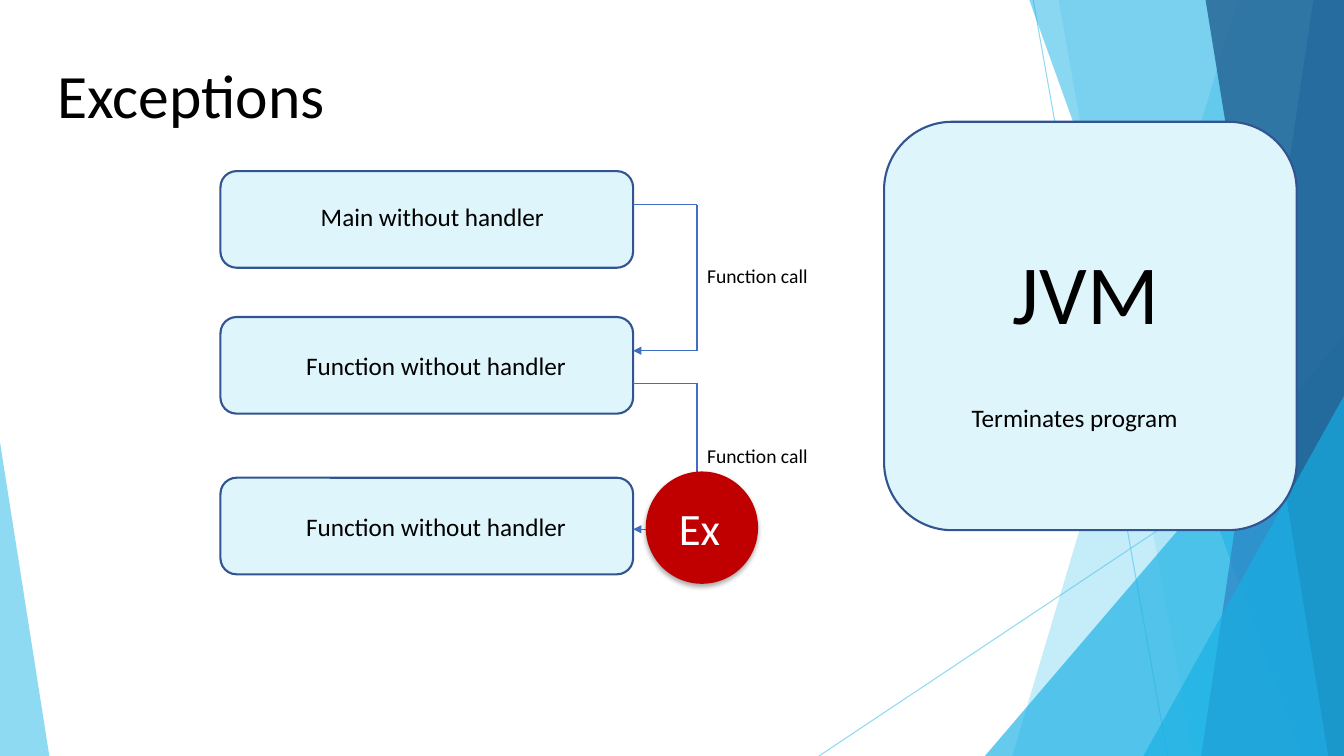
from lxml import etree
from pptx import Presentation
from pptx.dml.color import RGBColor
from pptx.enum.shapes import MSO_CONNECTOR, MSO_SHAPE
from pptx.enum.text import MSO_ANCHOR, MSO_AUTO_SIZE
from pptx.oxml.ns import qn
from pptx.util import Pt

PX = 9525  # EMU per px: the slide is 1280 x 720 px
WIDTH, HEIGHT = 1280, 720
ROUNDED, OVAL = MSO_SHAPE.ROUNDED_RECTANGLE, MSO_SHAPE.OVAL
TRIANGLE, STRAIGHT = MSO_SHAPE.ISOSCELES_TRIANGLE, MSO_CONNECTOR.STRAIGHT
FONT = "Calibri"

COLORS = {
    "sky": "5FCBEF", "cyan": "17B0E4", "blue": "2E83C3", "navy": "226292",
    "panel": "DFF5FC", "border": "325490", "arrow": "3F6EC2",
    "red": "C00000", "black": "000000", "white": "FFFFFF",
}

# Background: rays run from point to point; bands reach the right edge and
# hold their left x at top and bottom; wedges hold left, top, width, apex
RAYS = [((984, 0), (1112, 720)), ((1280, 387), (780, 720))]
FACETS = [
    ("band", (1179, 964), "sky", 36),
    ("band", (1008, 1136), "sky", 20),
    ("wedge", (938, 320, 342, 1), "cyan", 66),
    ("band", (980, 1239), "cyan", 50),
    ("band", (1251, 1144), "blue", 70),
    ("band", (1148, 1265), "navy", 80),
    ("wedge", (1089, 377, 191, 1), "cyan", 66),
    ("wedge", (0, 421, 47, 0), "sky", 70),
]

# Content: text, then left, top, width, height of its text area
TITLE = ("Exceptions", (45, 24, 1104, 139))
STACK_LEFT, STACK_WIDTH, FRAME_HEIGHT = 210, 393, 92
FRAMES = [  # frame top, label, label area
    (163, "Main without handler", (296, 187, 265, 38)),
    (302, "Function without handler", (282, 329, 277, 38)),
    (455, "Function without handler", (282, 482, 291, 38)),
]
CALL_TEXT, CALL_WIDTH, CALL_DROP = "Function call", 61, 139
CALLS = [(195, 247), (365, 418)]  # start y, label top
JVM_BOX = (842, 116, 393, 389)
JVM = ("JVM", (955, 224, 265, 107))
OUTCOME = ("Terminates program", (916, 378, 265, 38))
EX_BALL = (615, 449, 107, 107)
EX = ("Ex", (637, 472, 68, 61))

presentation = Presentation()
presentation.slide_width, presentation.slide_height = WIDTH * PX, HEIGHT * PX
slide = presentation.slides.add_slide(presentation.slide_layouts[6])
shapes = slide.shapes


def emu(lengths):
    return [length * PX for length in lengths]


def rgb(name):
    return RGBColor.from_string(COLORS[name])


def add_alpha(element, percent):
    color = element.find(".//" + qn("a:srgbClr"))
    etree.SubElement(color, qn("a:alpha"), val=str(percent * 1000))


def paint(shape, fill, border=None, alpha=None):
    shape.shadow.inherit = False
    shape.fill.solid()
    shape.fill.fore_color.rgb = rgb(fill)
    if alpha:
        add_alpha(shape.fill._xPr, alpha)
    if border:
        shape.line.color.rgb = rgb(border)
        shape.line.width = Pt(1.5)
    else:
        shape.line.fill.background()
    return shape


def add_panel(kind, area, fill, border=None):
    return paint(shapes.add_shape(kind, *emu(area)), fill, border)


def add_text(text, area, size, color="black", anchor=MSO_ANCHOR.TOP, grow=True):
    frame = shapes.add_textbox(*emu(area)).text_frame
    frame.word_wrap = True
    frame.vertical_anchor = anchor
    frame.auto_size = MSO_AUTO_SIZE.SHAPE_TO_FIT_TEXT if grow else MSO_AUTO_SIZE.NONE
    paragraph = frame.paragraphs[0]
    run = paragraph.add_run()
    run.text = text
    for key, value in {"name": FONT, "size": Pt(size)}.items():
        setattr(run.font, key, value)
    run.font.color.rgb = rgb(color)
    return paragraph


def add_line(start, end, color, width, alpha=None, arrow=False):
    line = shapes.add_connector(STRAIGHT, *emu(start + end))
    line.line.color.rgb = rgb(color)
    line.line.width = Pt(width)
    outline = line.line._get_or_add_ln()
    if alpha:
        add_alpha(outline, alpha)
    if arrow:
        etree.SubElement(outline, qn("a:tailEnd"), type="triangle")
    etree.SubElement(line._element.spPr, qn("a:effectLst"))


# Faceted background
for start, end in RAYS:
    add_line(start, end, "sky", 0.75, alpha=70)
for kind, geometry, color, alpha in FACETS:
    if kind == "band":
        top_x, bottom_x = geometry
        outline = shapes.build_freeform(top_x, -1, scale=PX)
        outline.add_line_segments([(WIDTH, -1), (WIDTH, HEIGHT), (bottom_x, HEIGHT)])
        facet = outline.convert_to_shape()
    else:
        left, top, width, apex = geometry
        facet = shapes.add_shape(TRIANGLE, *emu((left, top, width, HEIGHT - top)))
        facet.adjustments[0] = apex
    paint(facet, color, alpha=alpha)

# Title
add_text(*TITLE, 44, anchor=MSO_ANCHOR.MIDDLE, grow=False).line_spacing = 0.9

# Call stack
for top, label, area in FRAMES:
    add_panel(ROUNDED, (STACK_LEFT, top, STACK_WIDTH, FRAME_HEIGHT), "panel", "border")
    add_text(label, area, 18)

# Calls from one frame to the next
stack_right = STACK_LEFT + STACK_WIDTH
bend = stack_right + CALL_WIDTH
for start_y, label_top in CALLS:
    end_y = start_y + CALL_DROP
    corners = [(stack_right, start_y), (bend, start_y), (bend, end_y), (stack_right, end_y)]
    for start, end in zip(corners, corners[1:]):
        add_line(start, end, "arrow", 1, arrow=end == corners[-1])
    add_text(CALL_TEXT, (bend, label_top, 132, 32), 14)

# Virtual machine
add_panel(ROUNDED, JVM_BOX, "panel", "border")
add_text(*JVM, 60)
add_text(*OUTCOME, 18)

# Exception ball with its soft shadow
ball = add_panel(OVAL, EX_BALL, "red")
effects = ball._element.spPr.find(qn("a:effectLst"))
shadow = etree.SubElement(effects, qn("a:outerShdw"), blurRad=str(Pt(3.5)),
                          dist=str(Pt(2.2)), dir="5400000", rotWithShape="0")
etree.SubElement(shadow, qn("a:srgbClr"), val=COLORS["black"])
add_alpha(shadow, 32)
add_text(*EX, 32, color="white")

presentation.save("out.pptx")
